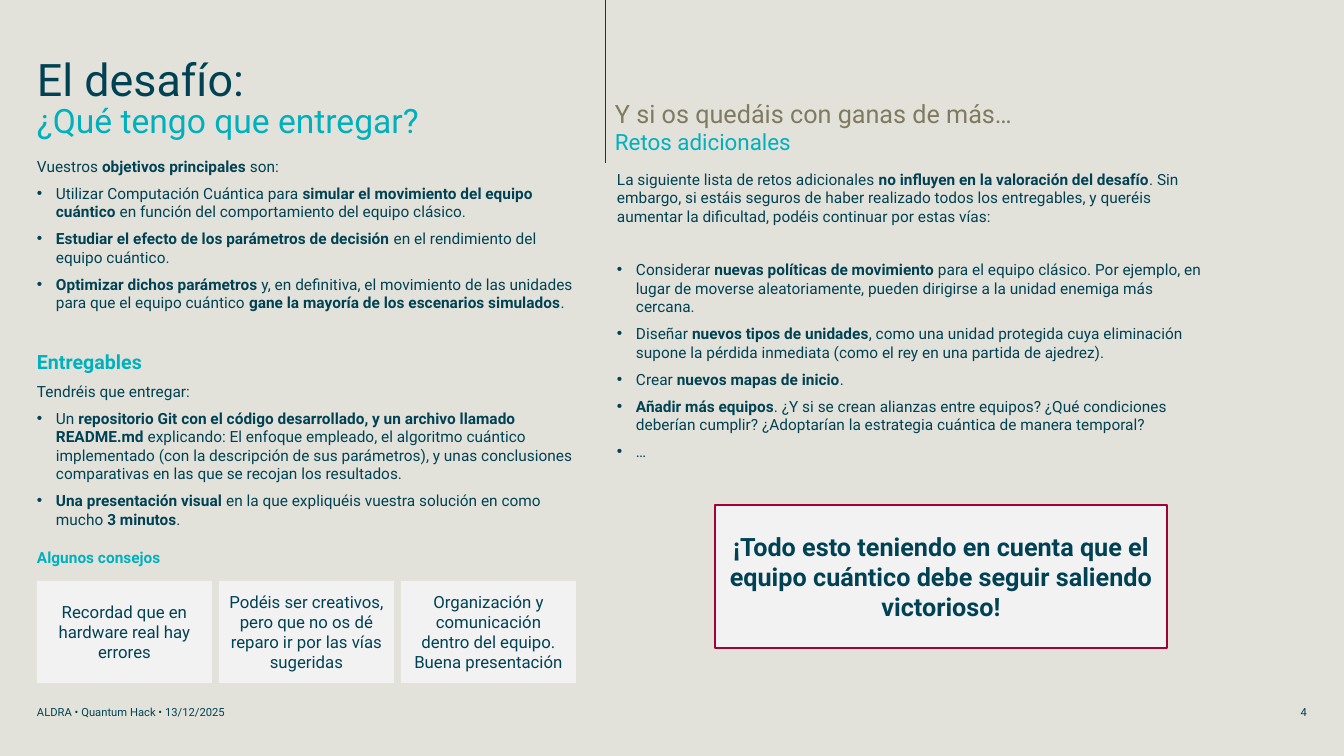
from dataclasses import dataclass

from lxml import etree
from pptx import Presentation
from pptx.dml.color import RGBColor
from pptx.enum.shapes import MSO_CONNECTOR, MSO_SHAPE
from pptx.enum.text import MSO_ANCHOR, PP_ALIGN
from pptx.oxml.ns import qn
from pptx.util import Pt

LEFT, CENTER, RIGHT = PP_ALIGN.LEFT, PP_ALIGN.CENTER, PP_ALIGN.RIGHT
TOP, MIDDLE, BOTTOM = MSO_ANCHOR.TOP, MSO_ANCHOR.MIDDLE, MSO_ANCHOR.BOTTOM
RECTANGLE, STRAIGHT = MSO_SHAPE.RECTANGLE, MSO_CONNECTOR.STRAIGHT

SLIDE_WIDTH, SLIDE_HEIGHT = 1344, 756
EMU_PER_PX = 914400 / 100.8


@dataclass(frozen=True)
class Theme:
    font: str = "Roboto"
    background: str = "E3E2DA"
    panel: str = "F2F2F2"
    ink: str = "004254"
    accent: str = "00B0BD"
    muted: str = "7F7B60"
    alert: str = "9E0337"
    title: int = 32
    subtitle: int = 24
    heading: int = 18
    subheading: int = 16
    section: int = 14
    card: int = 12
    body: int = 11
    footer: int = 8


THEME = Theme()


@dataclass(frozen=True)
class Line:
    """One paragraph; **double asterisks** mark its bold parts."""
    text: str
    size: int = THEME.body
    color: str = THEME.ink
    bullet: bool = False
    space_after: int = 6


def px(length):
    return round(length * EMU_PER_PX)


def rgb(color):
    return RGBColor.from_string(color)


def write(shape, lines, align=LEFT, anchor=TOP, inset=(0, 0), line_spacing=None):
    frame = shape.text_frame
    frame.word_wrap = True
    frame.vertical_anchor = anchor
    frame.margin_left = frame.margin_right = px(inset[0])
    frame.margin_top = frame.margin_bottom = px(inset[1])
    for index, line in enumerate(lines):
        paragraph = frame.add_paragraph() if index else frame.paragraphs[0]
        paragraph.alignment = align
        paragraph.space_after = Pt(line.space_after)
        if line_spacing:
            paragraph.line_spacing = line_spacing
        if line.bullet:
            properties = paragraph._p.get_or_add_pPr()
            properties.set("marL", str(px(19)))
            properties.set("indent", str(-px(19)))
            etree.SubElement(properties, qn("a:buFont")).set("typeface", "Arial")
            etree.SubElement(properties, qn("a:buChar")).set("char", "•")
        for part, text in enumerate(line.text.split("**")):
            if text:
                run = paragraph.add_run()
                run.text = text
                run.font.name = THEME.font
                run.font.size = Pt(line.size)
                run.font.bold = part % 2 == 1
                run.font.color.rgb = rgb(line.color)


def add_text(slide, box, lines, **text_format):
    write(slide.shapes.add_textbox(*map(px, box)), lines, **text_format)


def add_panel(slide, box, line, outline=None):
    shape = slide.shapes.add_shape(RECTANGLE, *map(px, box))
    shape.shadow.inherit = False
    shape.fill.solid()
    shape.fill.fore_color.rgb = rgb(THEME.panel)
    if outline:
        shape.line.color.rgb = rgb(outline)
        shape.line.width = Pt(1.5)
    else:
        shape.line.fill.background()
    write(shape, [line], align=CENTER, anchor=MIDDLE, inset=(10, 5))


def add_cards(slide, box, texts, gap=7):
    left, top, width, height = box
    card_width = (width - gap * (len(texts) - 1)) // len(texts)
    for index, text in enumerate(texts):
        card_box = (left + index * (card_width + gap), top, card_width, height)
        add_panel(slide, card_box, Line(text, THEME.card, space_after=0))


def add_challenge(slide, box):
    left, top, width, height = box
    # Title
    add_text(slide, (left, top, width, 96), [
        Line("El desafío:", THEME.title, space_after=0),
        Line("¿Qué tengo que entregar?", THEME.subtitle, THEME.accent, space_after=0),
    ], line_spacing=0.85)
    # Goals
    add_text(slide, (left, top + 97, width, 174), [
        Line("Vuestros **objetivos principales **son:"),
        Line("Utilizar Computación Cuántica para **simular el movimiento del equipo "
             "cuántico** en función del comportamiento del equipo clásico.", bullet=True),
        Line("**Estudiar el efecto de los parámetros de decisión **en el rendimiento "
             "del equipo cuántico.", bullet=True),
        Line("**Optimizar dichos parámetros** y, en definitiva, el movimiento de las "
             "unidades para que el equipo cuántico **gane la mayoría de los escenarios "
             "simulados**.", bullet=True),
    ])
    # Deliverables
    add_text(slide, (left, top + 290, width, 179), [
        Line("**Entregables**", THEME.section, THEME.accent),
        Line("Tendréis que entregar:"),
        Line("Un **repositorio Git con el código desarrollado, y un archivo llamado "
             "README.md** explicando: El enfoque empleado, el algoritmo cuántico "
             "implementado (con la descripción de sus parámetros), y unas conclusiones "
             "comparativas en las que se recojan los resultados.", bullet=True),
        Line("**Una presentación visual** en la que expliquéis vuestra solución en como "
             "mucho **3 minutos**.", bullet=True),
    ])
    # Advice
    add_text(slide, (left, top + 488, width, 19),
             [Line("**Algunos consejos**", color=THEME.accent)])
    add_cards(slide, (left, top + height - 102, width, 102), [
        "Recordad que en hardware real hay errores",
        "Podéis ser creativos, pero que no os dé reparo ir por las vías sugeridas",
        "Organización y comunicación dentro del equipo. Buena presentación",
    ])


def add_extras(slide, box):
    left, top, width, height = box
    # Divider
    divider = slide.shapes.add_connector(
        STRAIGHT, px(left), px(top), px(left), px(top + 163))
    divider.line.color.rgb = rgb(THEME.ink)
    divider.line.width = Pt(0.5)
    etree.SubElement(divider._element.spPr, qn("a:effectLst"))
    # Heading
    add_text(slide, (left, top + 93, width, 68), [
        Line("Y si os quedáis con ganas de más…", THEME.heading, THEME.muted,
             space_after=0),
        Line("Retos adicionales", THEME.subheading, THEME.accent, space_after=0),
    ], inset=(10, 5))
    # Additional challenges
    add_text(slide, (left + 12, top + 170, 588, 312), [
        Line("La siguiente lista de retos adicionales **no influyen en la valoración del "
             "desafío**. Sin embargo, si estáis seguros de haber realizado todos los "
             "entregables, y queréis aumentar la dificultad, podéis continuar por estas "
             "vías:", space_after=25),
        Line("Considerar **nuevas políticas de movimiento **para el equipo clásico. Por "
             "ejemplo, en lugar de moverse aleatoriamente, pueden dirigirse a la unidad "
             "enemiga más cercana.", bullet=True),
        Line("Diseñar **nuevos tipos de unidades**, como una unidad protegida cuya "
             "eliminación supone la pérdida inmediata (como el rey en una partida de "
             "ajedrez).", bullet=True),
        Line("Crear **nuevos mapas de inicio**.", bullet=True),
        Line("**Añadir más equipos**. ¿Y si se crean alianzas entre equipos? ¿Qué "
             "condiciones deberían cumplir? ¿Adoptarían la estrategia cuántica de manera "
             "temporal?", bullet=True),
        Line("…", bullet=True),
    ])
    # Closing reminder
    add_panel(slide, (left + 110, top + height - 143, 452, 143), Line(
        "**¡Todo esto teniendo en cuenta que el equipo cuántico debe seguir saliendo "
        "victorioso!**", THEME.heading, space_after=0), outline=THEME.alert)


def add_footer(slide, box):
    left, top, width, height = box
    add_text(slide, (left, top, 799, height),
             [Line("ALDRA • Quantum Hack • 13/12/2025", THEME.footer, space_after=0)],
             anchor=BOTTOM)
    add_text(slide, (left + width - 42, top, 42, height),
             [Line("4", THEME.footer, space_after=0)], align=RIGHT, anchor=BOTTOM)


def main():
    presentation = Presentation()
    presentation.slide_width = px(SLIDE_WIDTH)
    presentation.slide_height = px(SLIDE_HEIGHT)
    slide = presentation.slides.add_slide(presentation.slide_layouts[6])
    slide.background.fill.solid()
    slide.background.fill.fore_color.rgb = rgb(THEME.background)
    add_challenge(slide, (37, 60, 539, 623))
    add_extras(slide, (605, 0, 672, 648))
    add_footer(slide, (37, 706, 1270, 13))
    presentation.save("out.pptx")


if __name__ == "__main__":
    main()
